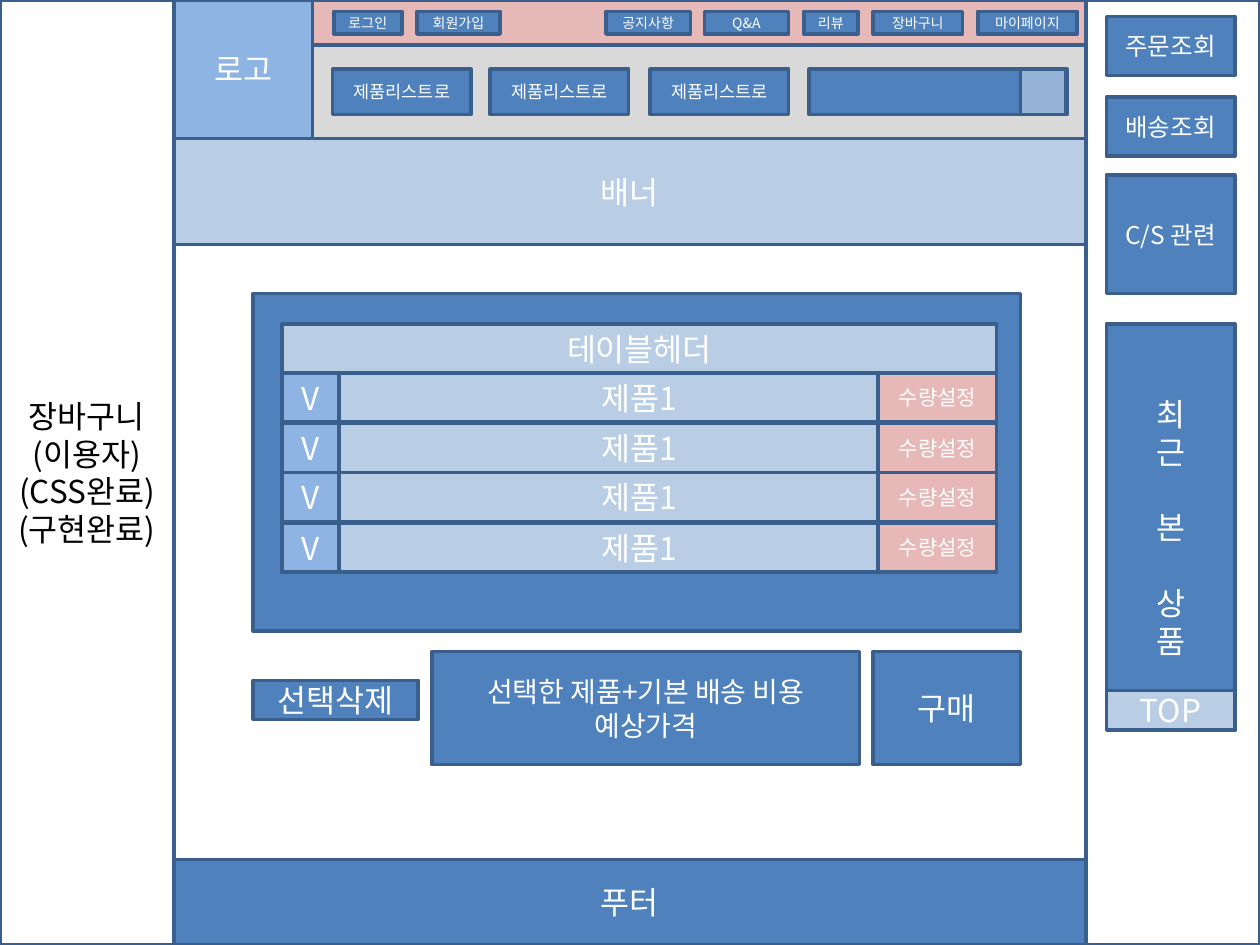
from dataclasses import dataclass

from pptx import Presentation
from pptx.dml.color import RGBColor
from pptx.enum.shapes import MSO_SHAPE
from pptx.enum.text import MSO_ANCHOR, PP_ALIGN
from pptx.oxml.ns import qn
from pptx.util import Inches, Pt


@dataclass(frozen=True)
class Theme:
    font: str = "Noto Sans CJK KR"
    white: str = "FFFFFF"
    black: str = "000000"
    outline: str = "3A5F8C"
    blue: str = "4F81BD"
    sky: str = "8EB4E3"
    steel: str = "95B3D7"
    pale: str = "B9CDE5"
    pink: str = "E6B9B8"
    gray: str = "D9D9D9"
    tiny: int = 8
    small: int = 10
    label: int = 12
    side: int = 14
    summary: int = 16
    body: int = 18
    line_width: int = 2
    line_pitch: float = 1.2


THEME = Theme()


@dataclass(frozen=True)
class Box:
    left: float
    top: float
    width: float
    height: float
    text: str = ""
    fill: str = THEME.blue
    size: int = THEME.body
    color: str = THEME.white
    gaps: tuple[int, ...] = ()  # paragraphs with one line of space above


def write_text(shape, text: str, *, size: int, color: str, gaps: tuple[int, ...] = ()) -> None:
    frame = shape.text_frame
    frame.word_wrap = True
    frame.vertical_anchor = MSO_ANCHOR.MIDDLE
    frame.margin_top = frame.margin_bottom = 0
    lines = text.split("\n")
    for index, line in enumerate(lines):
        paragraph = frame.paragraphs[0] if index == 0 else frame.add_paragraph()
        paragraph.alignment = PP_ALIGN.CENTER
        pitch = Pt(size * THEME.line_pitch)
        if len(lines) > 1:
            paragraph.line_spacing = pitch
        if index in gaps:
            paragraph.space_before = pitch
        run = paragraph.add_run()
        run.text = line
        run.font.size = Pt(size)
        run.font.name = THEME.font
        run.font.color.rgb = RGBColor.from_string(color)
        east_asian = run.font._element.makeelement(qn("a:ea"), {"typeface": THEME.font})
        run.font._element.find(qn("a:latin")).addnext(east_asian)


def draw_box(slide, box: Box) -> None:
    shape = slide.shapes.add_shape(
        MSO_SHAPE.RECTANGLE,
        Inches(box.left), Inches(box.top), Inches(box.width), Inches(box.height),
    )
    shape.shadow.inherit = False
    shape.fill.solid()
    shape.fill.fore_color.rgb = RGBColor.from_string(box.fill)
    shape.line.color.rgb = RGBColor.from_string(THEME.outline)
    shape.line.width = Pt(THEME.line_width)
    if box.text:
        write_text(shape, box.text, size=box.size, color=box.color, gaps=box.gaps)


def frame_boxes() -> list[Box]:
    left, width = 1.38, 7.24
    return [
        Box(left + width, 0, 1.38, 7.5, fill=THEME.white),
        Box(0, 0, left, 7.5, "장바구니\n(이용자)\n(CSS완료)\n(구현완료)",
            THEME.white, color=THEME.black),
        Box(left, 0, width, 1.1, fill=THEME.gray),
        Box(left, 0, 1.1, 1.1, "로고", THEME.sky),
        Box(2.48, 0, 6.14, 0.36, fill=THEME.pink),
        Box(left, 1.1, width, 0.84, "배너", THEME.pale),
        Box(left, 6.82, width, 0.68, "푸터"),
    ]


def menu_boxes() -> list[Box]:
    links = [
        (2.65, 0.54, "로그인"), (3.31, 0.66, "회원가입"), (4.81, 0.67, "공지사항"),
        (5.59, 0.67, "Q&A"), (6.38, 0.43, "리뷰"), (6.93, 0.71, "장바구니"),
        (7.76, 0.79, "마이페이지"),
    ]
    boxes = [Box(left, 0.09, width, 0.18, text, size=THEME.tiny) for left, width, text in links]
    boxes += [Box(left, 0.55, 1.1, 0.36, "제품리스트로", size=THEME.small)
              for left in (2.64, 3.89, 5.16)]
    # Search field and its button
    boxes += [Box(6.42, 0.55, 2.05, 0.36), Box(8.1, 0.55, 0.36, 0.36, fill=THEME.steel)]
    return boxes


def side_boxes() -> list[Box]:
    left, width = 8.78, 1.02
    buttons = [(0.13, 0.47, "주문조회"), (0.77, 0.47, "배송조회"), (1.39, 0.94, "C/S 관련")]
    boxes = [Box(left, top, width, height, text, size=THEME.side)
             for top, height, text in buttons]
    boxes += [
        Box(left, 2.57, width, 3.23, "최\n근\n본\n상\n품", gaps=(2, 3)),
        Box(left, 5.48, width, 0.31, "TOP", THEME.pale),
    ]
    return boxes


def cart_boxes() -> list[Box]:
    left, top, width, height, pitch = 2.24, 2.57, 5.67, 0.39, 0.395
    boxes = [
        Box(2.01, 2.33, 6.09, 2.68),
        Box(left, top, width, height, "테이블헤더", THEME.pale),
    ]
    for row in range(1, 5):
        row_top = round(top + row * pitch, 2)
        boxes += [
            Box(left, row_top, width, height, "제품1", THEME.pale),
            Box(left, row_top, 0.45, height, "V", THEME.sky),
            Box(6.97, row_top, 0.94, height, "수량설정", THEME.pink, THEME.label),
        ]
    # Actions under the cart
    boxes += [
        Box(2.01, 5.4, 1.31, 0.31, "선택삭제"),
        Box(3.43, 5.17, 3.39, 0.9, "선택한 제품+기본 배송 비용\n예상가격", size=THEME.summary),
        Box(6.93, 5.17, 1.17, 0.9, "구매"),
    ]
    return boxes


def main() -> None:
    presentation = Presentation()
    presentation.slide_width = Inches(10)
    presentation.slide_height = Inches(7.5)
    slide = presentation.slides.add_slide(presentation.slide_layouts[6])
    for box in frame_boxes() + menu_boxes() + side_boxes() + cart_boxes():
        draw_box(slide, box)
    presentation.save("out.pptx")


main()
